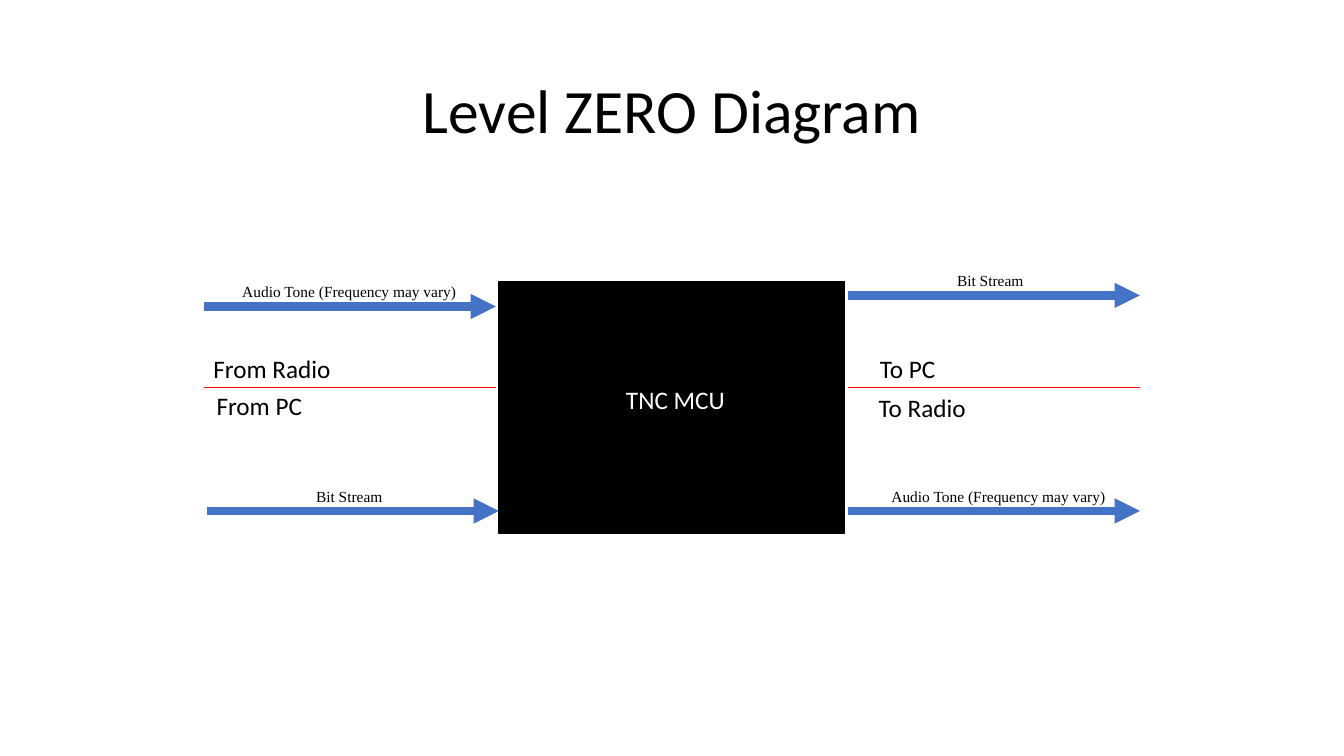
from lxml import etree
from pptx import Presentation
from pptx.dml.color import RGBColor
from pptx.enum.shapes import MSO_CONNECTOR, MSO_SHAPE
from pptx.enum.text import MSO_ANCHOR, MSO_AUTO_SIZE, PP_ALIGN
from pptx.oxml.ns import qn
from pptx.util import Pt

STRAIGHT = MSO_CONNECTOR.STRAIGHT
RECTANGLE = MSO_SHAPE.RECTANGLE
MIDDLE = MSO_ANCHOR.MIDDLE
GROW = MSO_AUTO_SIZE.SHAPE_TO_FIT_TEXT
LEFT, CENTER = PP_ALIGN.LEFT, PP_ALIGN.CENTER

BLACK, WHITE, BLUE, RED = "000000", "FFFFFF", "4472C4", "FF0000"
SANS, SERIF = "Calibri", "Times New Roman"


def color(hex_string):
    """Turn a hex string into a colour."""
    return RGBColor.from_string(hex_string)


class DiagramSlide:
    """Holds the style and the slide, and draws each kind of element."""

    def __init__(self, slide, font=SANS, size=18, ink=BLACK):
        """Keep the slide and the default text format."""
        self.slide = slide
        self.font, self.size, self.ink = font, size, ink

    def set_text(self, frame, text, font=None, size=None, ink=None, align=LEFT, spacing=None):
        """Put one formatted paragraph into a text frame."""
        frame.word_wrap = True
        paragraph = frame.paragraphs[0]
        paragraph.alignment = align
        if spacing:
            paragraph.line_spacing = spacing
        run = paragraph.add_run()
        run.text = text
        run.font.name = font or self.font
        run.font.size = Pt(size or self.size)
        run.font.color.rgb = color(ink or self.ink)

    def title(self, text, left, top, width, height):
        """Place and fill the title placeholder."""
        heading = self.slide.shapes.title
        heading.left, heading.top = Pt(left), Pt(top)
        heading.width, heading.height = Pt(width), Pt(height)
        heading.text_frame.vertical_anchor = MIDDLE
        self.set_text(heading.text_frame, text, size=44, align=CENTER, spacing=0.9)

    def block(self, left, top, width, height, fill):
        """Draw a solid rectangle."""
        block = self.slide.shapes.add_shape(RECTANGLE, Pt(left), Pt(top), Pt(width), Pt(height))
        block.shadow.inherit = False
        block.fill.solid()
        block.fill.fore_color.rgb = color(fill)
        block.line.color.rgb = color(fill)
        block.line.width = Pt(1)

    def label(self, text, left, top, width, height, **text_format):
        """Add a text box that grows with its text."""
        box = self.slide.shapes.add_textbox(Pt(left), Pt(top), Pt(width), Pt(height))
        box.text_frame.auto_size = GROW
        self.set_text(box.text_frame, text, **text_format)

    def line(self, start, end, y, stroke, weight, arrow=False):
        """Draw a level line, with an arrowhead at its end if asked."""
        connector = self.slide.shapes.add_connector(STRAIGHT, Pt(start), Pt(y), Pt(end), Pt(y))
        connector.line.color.rgb = color(stroke)
        connector.line.width = Pt(weight)
        properties = connector.element.spPr
        if arrow:
            etree.SubElement(properties.find(qn("a:ln")), qn("a:tailEnd"), type="triangle")
        etree.SubElement(properties, qn("a:effectLst"))


def main():
    """Build the level zero diagram."""
    deck = Presentation()
    deck.slide_width, deck.slide_height = Pt(960), Pt(540)
    diagram = DiagramSlide(deck.slides.add_slide(deck.slide_layouts[5]))

    diagram.title("Level ZERO Diagram", 66, 28.8, 828, 104.4)
    diagram.block(356.4, 201, 247, 180, BLACK)
    diagram.label("TNC MCU", 389.5, 270.7, 185.8, 29, ink=WHITE, align=CENTER)

    span = 208.8
    input_x, output_x = 145.4, 605.5
    audio, bits = "Audio Tone (Frequency may vary)", "Bit Stream"
    label_height = 20.9
    signals = [
        (audio, input_x, 218.9, 155.5),
        (bits, 147.6, 365, 155.5),
        (audio, output_x, 365, 619.2),
        (bits, output_x, 211, 613.4),
    ]
    for signal, start, y, label_left in signals:
        diagram.line(start, start + span, y, BLUE, 6, arrow=True)
        diagram.label(signal, label_left, y - label_height, 188, label_height,
                      font=SERIF, size=11, align=CENTER)

    for start in (input_x, output_x):
        diagram.line(start, start + span, 276.5, RED, 0.5)

    endpoints = [
        ("From Radio", 145.4, 249.1),
        ("From PC", 147.6, 275),
        ("To PC", 621.4, 249.1),
        ("To Radio", 620.6, 276.5),
    ]
    for endpoint, left, top in endpoints:
        diagram.label(endpoint, left, top, 172.8, 29)

    deck.save("out.pptx")


main()
